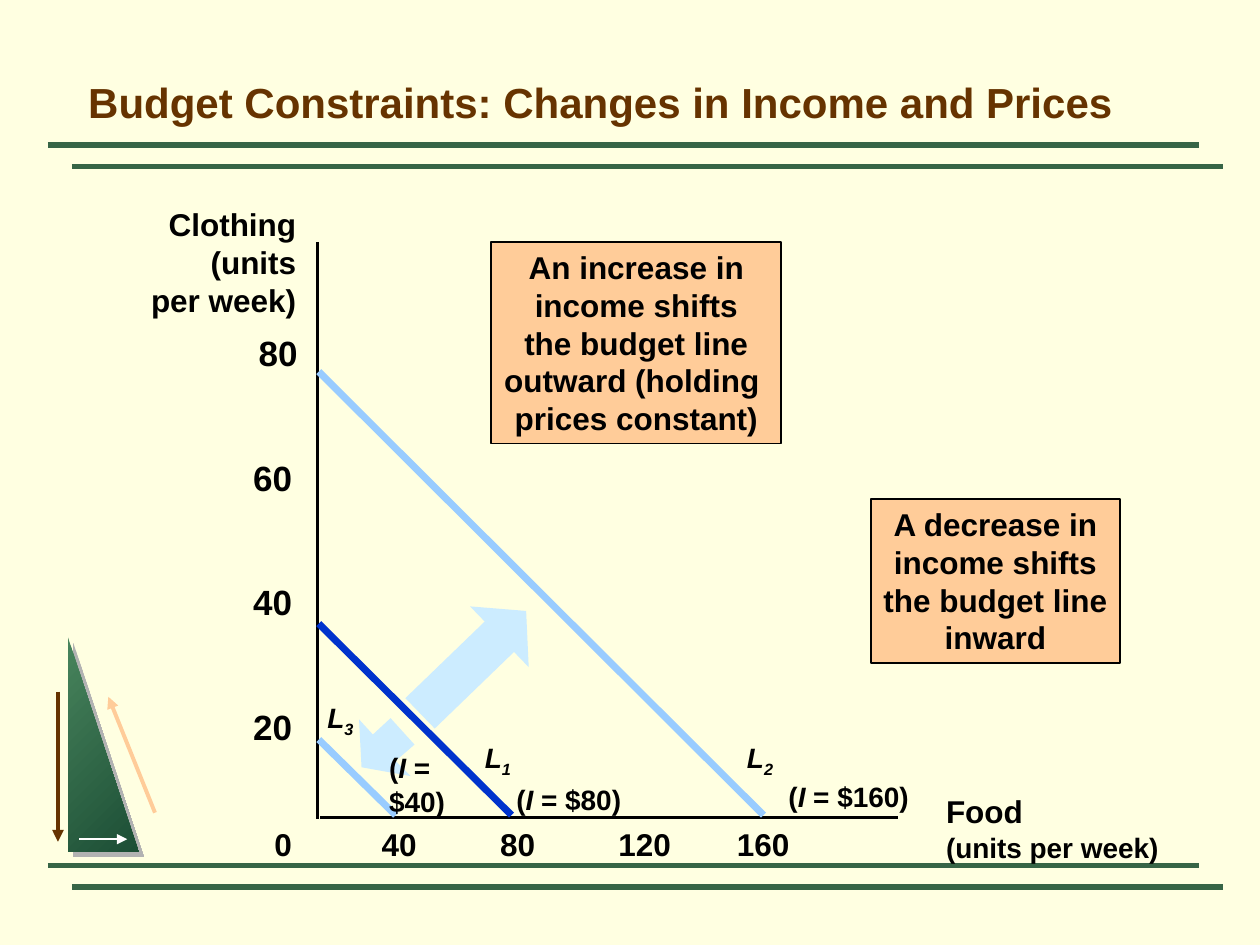
from dataclasses import dataclass

from lxml.etree import SubElement
from pptx import Presentation
from pptx.dml.color import RGBColor
from pptx.enum.shapes import MSO_CONNECTOR, MSO_SHAPE
from pptx.enum.text import MSO_ANCHOR, MSO_AUTO_SIZE, PP_ALIGN
from pptx.oxml import parse_xml
from pptx.oxml.ns import nsdecls, qn
from pptx.util import Inches, Pt

COLORS = {
    "paper": "FFFFE1", "rule": "376546", "brown": "663300", "peach": "FFCC99",
    "black": "000000", "white": "FFFFFF", "light_line": "99CCFF",
    "dark_line": "0033CC", "shift": "CCECFF", "green_top": "48845C",
    "green_bottom": "1C4E35",
}
FONT = "Arial"
LEFT, CENTER, RIGHT = PP_ALIGN.LEFT, PP_ALIGN.CENTER, PP_ALIGN.RIGHT


@dataclass(frozen=True)
class Line:
    start: tuple[float, float]
    end: tuple[float, float]
    color: str
    width: float
    arrow: bool = False


@dataclass(frozen=True)
class Span:
    text: str
    size: float = 16
    italic: bool = False
    subscript: bool = False


@dataclass(frozen=True)
class Label:
    """Text at (left, top, width, height), one tuple of spans per paragraph."""
    box: tuple[float, float, float, float]
    paras: list[tuple[Span, ...]]
    align: PP_ALIGN = LEFT
    fill: str | None = None


def rgb(name: str) -> RGBColor:
    return RGBColor.from_string(COLORS[name])


def plain(*texts: str, size: float = 18) -> list[tuple[Span, ...]]:
    return [(Span(text, size),) for text in texts]


def budget_name(number: str) -> list[tuple[Span, ...]]:
    return [(Span("L", italic=True), Span(number, italic=True, subscript=True))]


def income(*rest: str) -> list[tuple[Span, ...]]:
    """Paragraphs reading "(I" followed by the given text."""
    first, *others = rest
    return [(Span("("), Span("I", italic=True), Span(first)),
            *plain(*others, size=16)]


def draw_line(page, line: Line) -> None:
    points = [Inches(value) for value in (*line.start, *line.end)]
    connector = page.shapes.add_connector(MSO_CONNECTOR.STRAIGHT, *points)
    connector.line.color.rgb = rgb(line.color)
    connector.line.width = Pt(line.width)
    if line.arrow:
        SubElement(connector.line._get_or_add_ln(), qn("a:tailEnd"), type="triangle")
    SubElement(connector._element.spPr, qn("a:effectLst"))


def style_shift(shape) -> None:
    shape.shadow.inherit = False
    shape.fill.solid()
    shape.fill.fore_color.rgb = rgb("shift")
    shape.line.fill.background()


def draw_label(page, label: Label) -> None:
    place = [Inches(value) for value in label.box]
    if label.fill:
        box = page.shapes.add_shape(MSO_SHAPE.RECTANGLE, *place)
        box.shadow.inherit = False
        box.fill.solid()
        box.fill.fore_color.rgb = rgb(label.fill)
        box.line.color.rgb = rgb("black")
        box.line.width = Pt(1)
    else:
        box = page.shapes.add_textbox(*place)
    frame = box.text_frame
    frame.word_wrap = False
    frame.auto_size = MSO_AUTO_SIZE.SHAPE_TO_FIT_TEXT
    frame.vertical_anchor = MSO_ANCHOR.TOP
    for index, spans in enumerate(label.paras):
        para = frame.add_paragraph() if index else frame.paragraphs[0]
        para.alignment = label.align
        for span in spans:
            run = para.add_run()
            run.text = span.text
            font = run.font
            font.name, font.size, font.bold = FONT, Pt(span.size), True
            font.italic = span.italic
            font.color.rgb = rgb("black")
            if span.subscript:
                font._element.set("baseline", "-25000")


def draw_title(page) -> None:
    title = page.shapes.title
    title.left, title.top = Inches(0.6), Inches(0.21)
    title.width, title.height = Inches(8.73), Inches(0.85)
    frame = title.text_frame
    frame.text = "Budget Constraints: Changes in Income and Prices"
    frame.auto_size = MSO_AUTO_SIZE.NONE
    frame.vertical_anchor = MSO_ANCHOR.BOTTOM
    para = frame.paragraphs[0]
    para.alignment = LEFT
    font = para.runs[0].font
    font.name, font.size, font.bold = FONT, Pt(24), True
    font.color.rgb = rgb("brown")


def draw_emblem(page) -> None:
    triangle = page.shapes.add_shape(MSO_SHAPE.RIGHT_TRIANGLE, Inches(0.54),
                                     Inches(5.06), Inches(0.56), Inches(1.7))
    triangle.fill.gradient()
    triangle.fill.gradient_angle = 315
    for stop, name in zip(triangle.fill.gradient_stops, ("green_top", "green_bottom")):
        stop.color.rgb = rgb(name)
    triangle.line.fill.background()
    triangle._element.spPr.append(parse_xml(
        f'<a:effectLst {nsdecls("a")}><a:outerShdw dist="53340" dir="2700000" '
        'algn="ctr" rotWithShape="0"><a:srgbClr val="B2B2B2"/></a:outerShdw></a:effectLst>'))
    for line in (Line((0.46, 5.49), (0.46, 6.68), "brown", 2.25, True),
                 Line((1.23, 6.45), (0.86, 5.53), "peach", 2.25, True),
                 Line((0.63, 6.66), (1.01, 6.66), "white", 1.5, True)):
        draw_line(page, line)


def draw_shift_arrows(page) -> None:
    outward = page.shapes.add_shape(MSO_SHAPE.RIGHT_ARROW, Inches(3.17),
                                    Inches(4.92), Inches(1.17), Inches(0.67))
    outward.adjustments[1] = 0.44
    outward.rotation = -44
    style_shift(outward)
    outline = [(2.85, 5.71), (2.96, 5.83), (3.1, 5.7), (3.29, 5.91),
               (3.14, 6.04), (3.26, 6.16), (2.87, 6.09)]
    start, *rest = [(Inches(x), Inches(y)) for x, y in outline]
    builder = page.shapes.build_freeform(*start)
    builder.add_line_segments(rest, close=True)
    style_shift(builder.convert_to_shape())


RULES = [Line((x, y), (x + 9.14, y), "rule", 3)
         for x, y in ((0.38, 1.15), (0.57, 1.32), (0.38, 6.87), (0.57, 7.04))]
AXES = [Line((2.52, 1.92), (2.52, 6.5), "black", 2),
        Line((2.54, 6.49), (7.13, 6.49), "black", 2)]
BUDGET_LINES = [Line((2.53, top), (right, 6.47), color, 4)
                for top, right, color in ((2.95, 6.06, "light_line"),
                                          (4.95, 4.06, "dark_line"),
                                          (5.87, 3.14, "light_line"))]
FOOD_TICKS = [Label((2.93 + 0.94 * step, 6.5, 0.2 + 0.14 * len(text), 0.4), plain(text))
              for step, text in enumerate(("40", "80", "120", "160"))]
CLOTHING_TICKS = [Label((1.91, 5.55 - 0.99 * step, 0.51, 0.43), plain(text, size=20))
                  for step, text in enumerate(("20", "40", "60"))]
LABELS = [
    Label((7.41, 6.24, 1.89, 0.66), plain("Food") + plain("(units per week)", size=16)),
    Label((1.1, 1.58, 1.35, 1), plain("Clothing", "(units", "per week)"), RIGHT),
    *FOOD_TICKS,
    *CLOTHING_TICKS,
    Label((1.95, 2.58, 0.51, 0.43), plain("80", size=20), RIGHT),
    Label((2.08, 6.5, 0.34, 0.4), plain("0")),
    Label((3.9, 1.92, 2.3, 1.6),
          plain("An increase in", "income shifts", "the budget line",
                "outward (holding ", "prices constant)"), CENTER, "peach"),
    Label((6.16, 6.14, 1.2, 0.36), income(" = $160)")),
    Label((5.83, 5.83, 0.41, 0.4), budget_name("2")),
    Label((4, 6.16, 1.05, 0.36), income(" = $80)")),
    Label((3.75, 5.83, 0.41, 0.4), budget_name("1")),
    Label((2.5, 5.51, 0.41, 0.4), budget_name("3")),
    Label((2.99, 5.91, 0.64, 0.63), income(" =", "$40)")),
    Label((6.91, 3.96, 1.98, 1.3),
          plain("A decrease in", "income shifts", "the budget line", "inward"),
          CENTER, "peach"),
]


def main() -> None:
    deck = Presentation()
    deck.slide_width, deck.slide_height = Inches(10), Inches(7.5)
    page = deck.slides.add_slide(deck.slide_layouts[5])
    page.background.fill.solid()
    page.background.fill.fore_color.rgb = rgb("paper")
    draw_title(page)
    for line in RULES:
        draw_line(page, line)
    draw_emblem(page)
    draw_shift_arrows(page)
    for line in AXES + BUDGET_LINES:
        draw_line(page, line)
    for label in LABELS:
        draw_label(page, label)
    deck.save("out.pptx")


if __name__ == "__main__":
    main()
